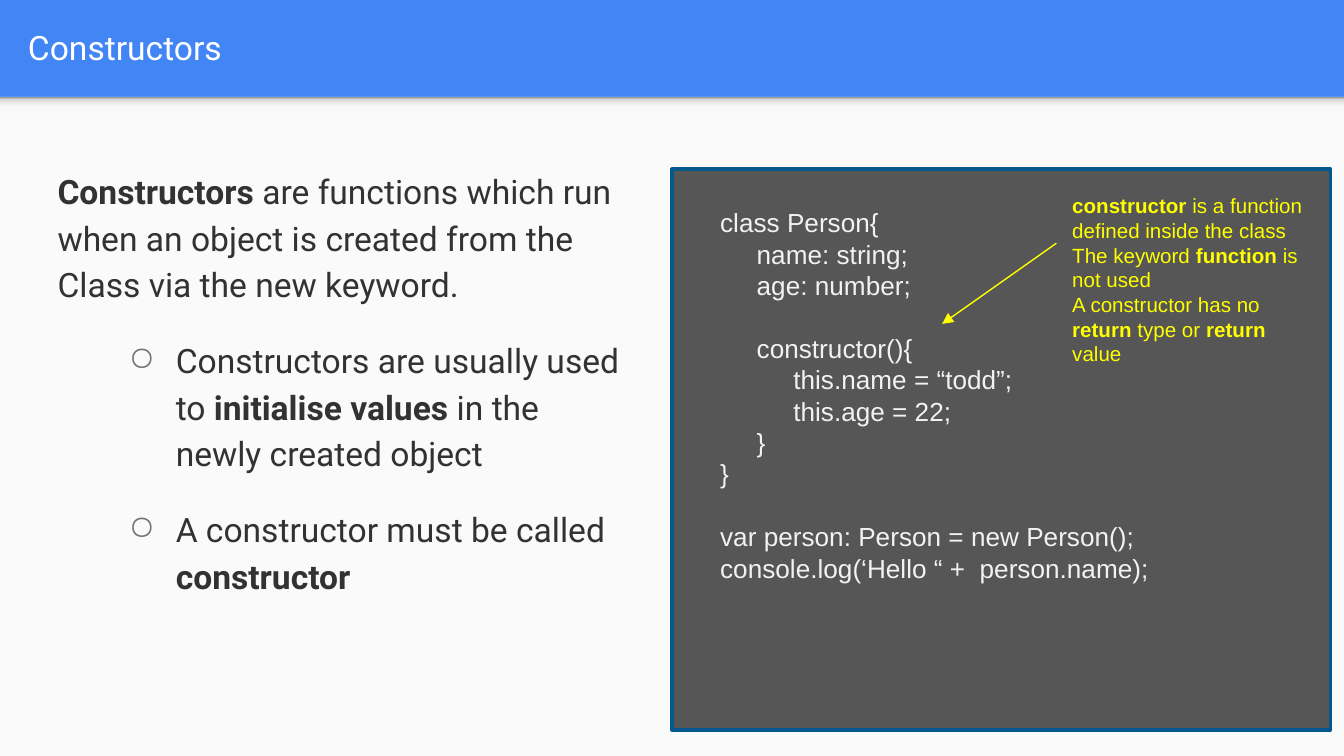
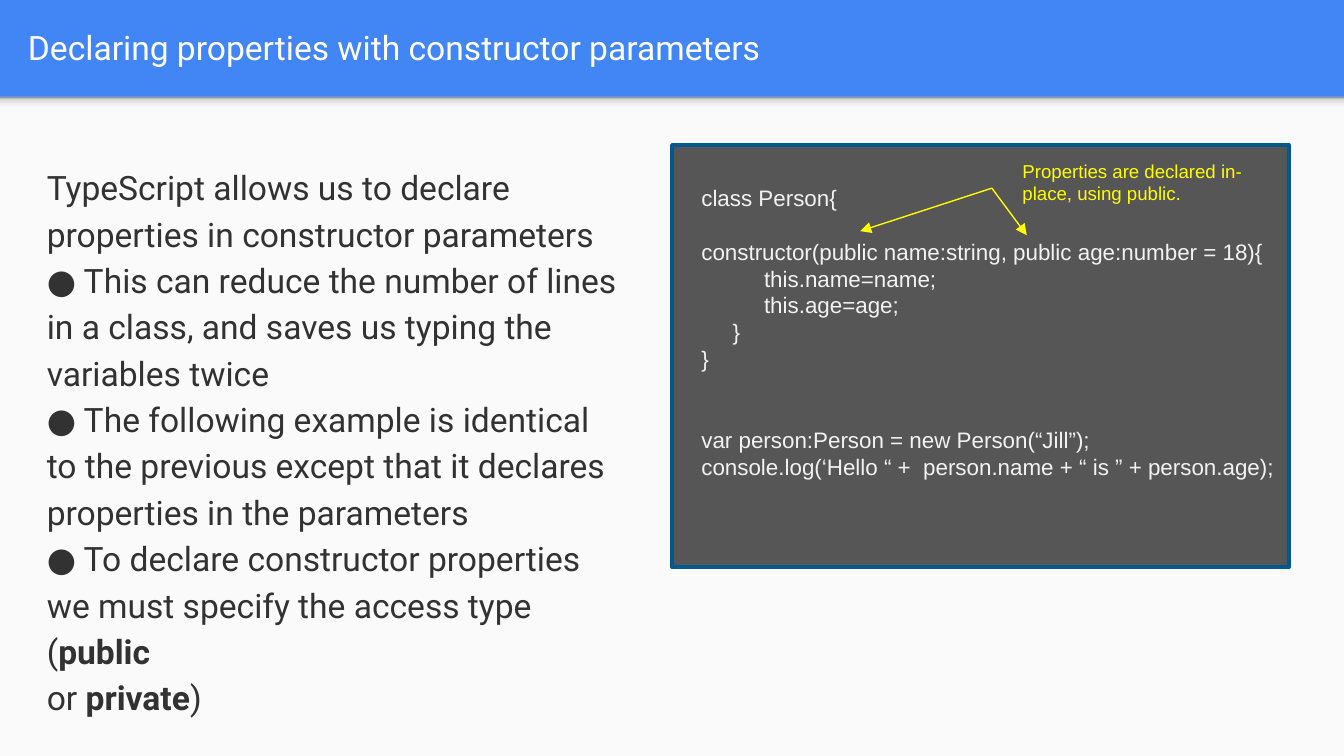
import pptx
import pptx.util
import pptx.dml.color
import pptx.enum.shapes
import pptx.enum.text
import pptx.oxml.ns
import lxml.etree

RGBColor = pptx.dml.color.RGBColor
BLUE = RGBColor(0x42, 0x85, 0xF4)
PAPER = RGBColor(0xFA, 0xFA, 0xFA)
INK = RGBColor(0x32, 0x32, 0x32)
BULLET = RGBColor(0x73, 0x73, 0x73)
WHITE = RGBColor(0xFF, 0xFF, 0xFF)
PANEL = RGBColor(0x56, 0x56, 0x56)
PANEL_EDGE = RGBColor(0x01, 0x58, 0x8C)
CODE = RGBColor(0xF2, 0xF2, 0xF2)
YELLOW = RGBColor(0xFF, 0xFF, 0x00)
SHADOW_STOPS = [
    (0, RGBColor(0xF9, 0xF9, 0xF9)),
    (36, RGBColor(0xF9, 0xF9, 0xF9)),
    (80, RGBColor(0xDE, 0xDE, 0xDE)),
    (100, RGBColor(0x99, 0x99, 0x99)),
]
COLUMNS, ROWS = 100, 56.25
BAND_ROWS = 7.2
MARGIN = 0.12
LINE_HEIGHT = 1.2
CODE_STEP = 1.4


def add_element(parent, tag, **attributes):
    return lxml.etree.SubElement(parent, pptx.oxml.ns.qn(tag), **attributes)


def write(paragraph, text, font="Roboto", size=18, color=INK, left=0.0, hanging=0.0,
          spacing=None, before=0, bullet=None):
    if spacing:
        paragraph.line_spacing = spacing
    if before:
        paragraph.space_before = pptx.util.Pt(before)
    properties = paragraph._p.get_or_add_pPr()
    properties.set("marL", str(pptx.util.Inches(left)))
    properties.set("indent", str(pptx.util.Inches(-hanging)))
    if bullet:
        bullet_color = add_element(properties, "a:buClr")
        add_element(bullet_color, "a:srgbClr", val=str(BULLET))
        add_element(properties, "a:buChar", char=bullet)
    for position, part in enumerate(text.split("**")):
        if part:
            run = paragraph.add_run()
            run.text = part
            run.font.name = font
            run.font.size = pptx.util.Pt(size)
            run.font.color.rgb = color
            run.font.bold = position % 2 == 1


class Deck:
    def __init__(self):
        self.presentation = pptx.Presentation()
        self.presentation.slide_width = pptx.util.Inches(10)
        self.presentation.slide_height = pptx.util.Inches(5.625)
        self.slide = None

    def across(self, columns):
        return round(self.presentation.slide_width * columns / COLUMNS)

    def down(self, rows):
        return round(self.presentation.slide_height * rows / ROWS)

    def place(self, left, top, width, height):
        return self.across(left), self.down(top), self.across(width), self.down(height)

    def add_slide(self, title):
        self.slide = self.presentation.slides.add_slide(self.presentation.slide_layouts[6])
        background = self.slide.background.fill
        background.solid()
        background.fore_color.rgb = BLUE
        self.rectangle((0, BAND_ROWS, COLUMNS, ROWS - BAND_ROWS), PAPER)
        self.band_shadow()
        frame = self.text_frame((1.1, 0.2, 96.5, 6.6), inset=0.1)
        frame.vertical_anchor = pptx.enum.text.MSO_ANCHOR.MIDDLE
        write(frame.paragraphs[0], title, color=WHITE)

    def rectangle(self, area, color, edge=None):
        shape = self.slide.shapes.add_shape(
            pptx.enum.shapes.MSO_SHAPE.RECTANGLE, *self.place(*area))
        shape.shadow.inherit = False
        shape.fill.solid()
        shape.fill.fore_color.rgb = color
        if edge:
            shape.line.color.rgb = edge
            shape.line.width = pptx.util.Pt(2)
        else:
            shape.line.fill.background()
        return shape

    def band_shadow(self):
        shape = self.rectangle((0, BAND_ROWS, COLUMNS, 1.2), PAPER)
        shape.fill.gradient()
        shape.fill.gradient_angle = 90
        stops = shape._element.spPr.find(".//" + pptx.oxml.ns.qn("a:gsLst"))
        for stop in list(stops):
            stops.remove(stop)
        for percent, color in SHADOW_STOPS:
            stop = add_element(stops, "a:gs", pos=str(percent * 1000))
            add_element(stop, "a:srgbClr", val=str(color))

    def text_frame(self, area, inset=None):
        frame = self.slide.shapes.add_textbox(*self.place(*area)).text_frame
        frame.word_wrap = True
        if inset:
            frame.margin_left = frame.margin_right = pptx.util.Inches(inset)
            frame.margin_top = frame.margin_bottom = pptx.util.Inches(inset)
        return frame

    def paragraphs(self, frame, count):
        return [frame.paragraphs[0]] + [frame.add_paragraph() for _ in range(count - 1)]

    def body(self, area, texts, bullets=()):
        frame = self.text_frame(area, inset=0.1)
        created = self.paragraphs(frame, len(texts) + len(bullets))
        for paragraph, text in zip(created, texts):
            write(paragraph, text, left=MARGIN, spacing=1.15)
        for paragraph, text in zip(created[len(texts):], bullets):
            write(paragraph, text, left=1, hanging=0.35, spacing=1.15, before=16, bullet="○")

    def panel(self, area):
        self.rectangle(area, PANEL, edge=PANEL_EDGE)

    def code(self, area, lines, size):
        frame = self.text_frame(area)
        for paragraph, (level, skipped, text) in zip(self.paragraphs(frame, len(lines)), lines):
            write(paragraph, text, font="Arial", size=size, color=CODE,
                  left=MARGIN + level * size * CODE_STEP / 72,
                  before=skipped * size * LINE_HEIGHT)

    def note(self, area, texts, size):
        frame = self.text_frame(area)
        for paragraph, text in zip(self.paragraphs(frame, len(texts)), texts):
            write(paragraph, text, font="Arial", size=size, color=YELLOW)

    def arrow(self, start, end):
        connector = self.slide.shapes.add_connector(
            pptx.enum.shapes.MSO_CONNECTOR.STRAIGHT,
            self.across(start[0]), self.down(start[1]),
            self.across(end[0]), self.down(end[1]))
        connector.line.color.rgb = YELLOW
        connector.line.width = pptx.util.Pt(0.75)
        add_element(connector.line._get_or_add_ln(), "a:tailEnd", type="triangle")
        add_element(connector._element.spPr, "a:effectLst")


deck = Deck()

deck.add_slide("Constructors")
deck.body(
    (2.1, 11.3, 45, 40.6),
    ["**Constructors** are functions which run when an object is created from the",
     "Class via the new keyword."],
    ["Constructors are usually used to **initialise values** in the newly created object",
     "A constructor must be called **constructor**"])
deck.panel((50, 12.6, 49, 41.7))
deck.code((51.4, 14.9, 35.3, 29.3), [
    (0, 0, "class Person{"),
    (1, 0, "name: string;"),
    (1, 0, "age: number;"),
    (1, 1, "constructor(){"),
    (2, 0, "this.name = “todd”;"),
    (2, 0, "this.age = 22;"),
    (1, 0, "}"),
    (0, 0, "}"),
    (0, 1, "var person: Person = new Person();"),
    (0, 0, "console.log(‘Hello “ +  person.name);"),
], size=14)
deck.note((78.8, 13.9, 20, 16.3), [
    "**constructor** is a function defined inside the class",
    "The keyword **function** is not used",
    "A constructor has no **return** type or **return** value",
], size=11)
deck.arrow((78.6, 18.1), (70.1, 24.1))

deck.add_slide("Declaring properties with constructor parameters")
deck.body((1.3, 11, 46.4, 40.6), [
    "TypeScript allows us to declare properties in constructor parameters",
    "● This can reduce the number of lines in a class, and saves us typing the",
    "variables twice",
    "● The following example is identical to the previous except that it declares",
    "properties in the parameters",
    "● To declare constructor properties we must specify the access type (**public**",
    "or **private**)",
])
deck.panel((50, 10.8, 45.9, 31.4))
deck.code((50, 13.2, 47.5, 23.1), [
    (0, 0, "class Person{"),
    (0, 1, "constructor(public name:string, public age:number = 18){"),
    (2, 0, "this.name=name;"),
    (2, 0, "this.age=age;"),
    (1, 0, "}"),
    (0, 0, "}"),
    (0, 2, "var person:Person = new Person(“Jill”);"),
    (0, 0, "console.log(‘Hello “ +  person.name + “ is ” + person.age);"),
], size=12)
deck.note((75.1, 11.4, 18.3, 4.4), ["Properties are declared in-place, using public."], size=10)
for target in [(64, 17.2), (76.4, 17.5)]:
    deck.arrow((73.8, 14), target)

deck.presentation.save("out.pptx")
